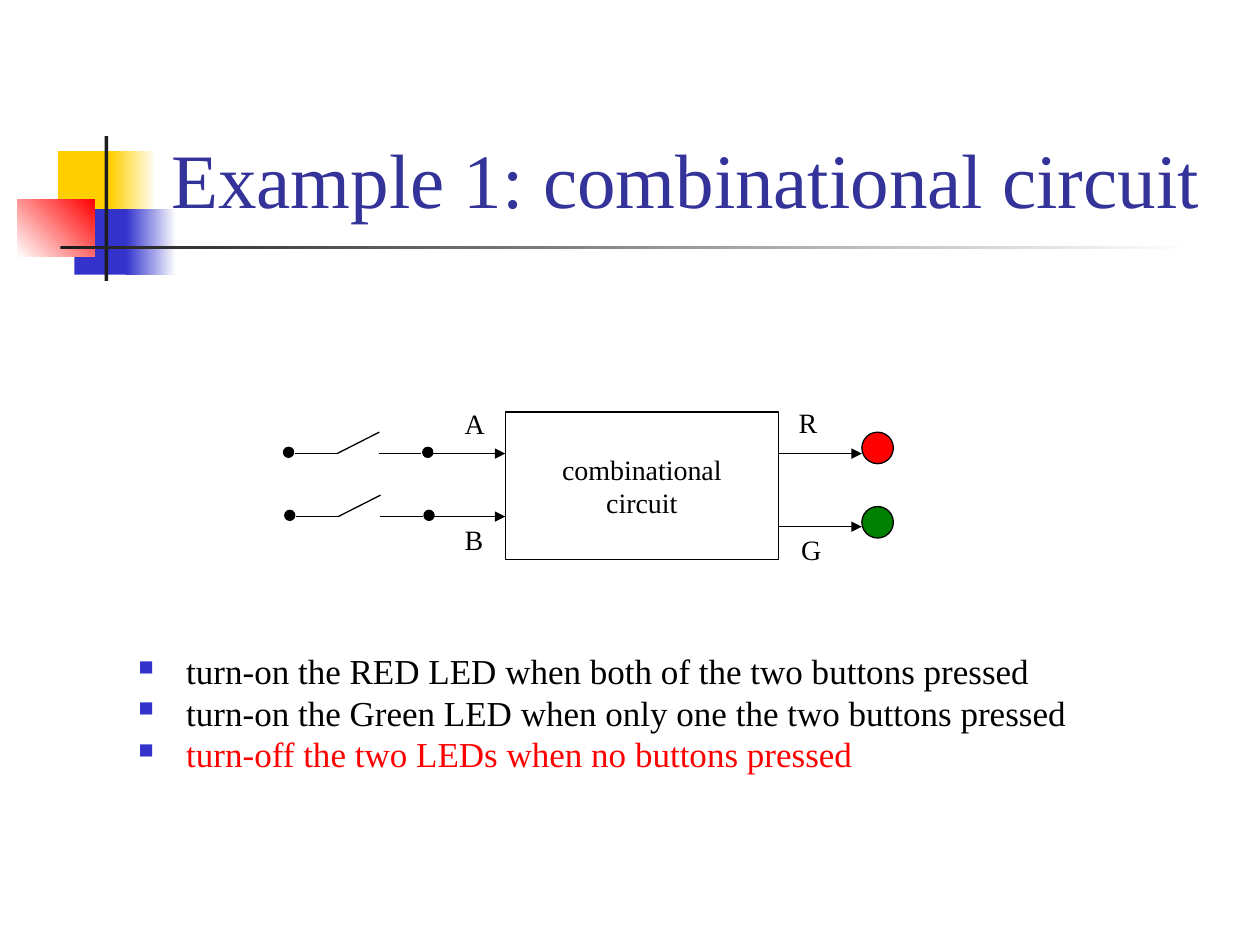
"""Build the slide about a combinational circuit with two switches and two LEDs."""
import pptx
import pptx.dml.color
import pptx.enum.shapes
import pptx.enum.text
import pptx.oxml
import pptx.oxml.ns
import pptx.util

FONT = "Times New Roman"
BLACK, RED = "000000", "FF0000"
WIDTH, HEIGHT = 10, 7.5
SHAPES = pptx.enum.shapes.MSO_SHAPE
ANCHOR = pptx.enum.text.MSO_ANCHOR
ALIGN = pptx.enum.text.PP_ALIGN
inches = pptx.util.Inches

TITLE = "Example 1: combinational circuit"
BULLETS = [
    ("turn-on the RED LED when both of the two buttons pressed", BLACK),
    ("turn-on the Green LED when only one the two buttons pressed", BLACK),
    ("turn-off the two LEDs when no buttons pressed", RED),
]
ORNAMENTS = [
    ((0.46, 1.2, 0.48, 0.52), ["FFCF01"], 0),
    ((0.88, 1.2, 0.36, 0.52), ["FFCF01", "FFFFFF"], 0),
    ((0.59, 1.66, 0.46, 0.52), ["3333CC"], 0),
    ((1, 1.66, 0.4, 0.52), ["3333CC", "FFFFFF"], 0),
    ((0.14, 1.58, 0.61, 0.46), ["FFFFFF", RED], 45),
    ((0.83, 1.08, 0.03, 1.15), ["1C1C1C"], 0),
    ((0.48, 1.95, 9, 0.03), ["1C1C1C", "FFFFFF"], 0),
]
BLOCK = (4.01, 3.27, 2.17, 1.17)
BLOCK_LINES = ["combinational", "circuit"]
SWITCHES = [(2.34, 3.6), (2.35, 4.1)]
SWITCH_STEP, SWITCH_RISE, DOT = 0.335, 0.17, 0.08
LEDS = [(3.6, 3.43, RED), (4.18, 4.02, "008000")]
LED_LEFT, LED_SIZE = 6.84, 0.25
LABELS = [("A", 3.59, 3.18), ("B", 3.59, 4.1), ("R", 6.24, 3.17), ("G", 6.26, 4.18)]


def colour(value):
    return pptx.dml.color.RGBColor.from_string(value)


def add_xml(parent, tag, attributes=""):
    namespace = pptx.oxml.ns.nsdecls("a")
    parent.append(pptx.oxml.parse_xml(f"<a:{tag} {namespace} {attributes}/>"))
    return parent[-1]


def place(item, left, top, width, height):
    item.left, item.top = inches(left), inches(top)
    item.width, item.height = inches(width), inches(height)


def style(paragraph, size, value):
    font = paragraph.font
    font.name, font.size = FONT, pptx.util.Pt(size)
    font.color.rgb = colour(value)


def outline(line):
    line.color.rgb = colour(BLACK)
    line.width = pptx.util.Pt(0.75)


def add_shape(kind, area, fills=(), angle=0, lined=True):
    shape = page.shapes.add_shape(kind, *map(inches, area))
    shape.shadow.inherit = False
    if len(fills) == 2:
        shape.fill.gradient()
        shape.fill.gradient_angle = angle
        for stop, value in zip(shape.fill.gradient_stops, fills):
            stop.color.rgb = colour(value)
    elif fills:
        shape.fill.solid()
        shape.fill.fore_color.rgb = colour(fills[0])
    else:
        shape.fill.background()
    if lined:
        outline(shape.line)
    else:
        shape.line.fill.background()
    return shape


def add_line(start, end, arrow=False):
    line = page.shapes.add_connector(
        pptx.enum.shapes.MSO_CONNECTOR.STRAIGHT, *map(inches, start + end))
    outline(line.line)
    if arrow:
        add_xml(line.line._get_or_add_ln(), "tailEnd", 'type="triangle"')
    add_xml(line._element.spPr, "effectLst")


def add_bullet(paragraph, text, value):
    paragraph.text = text
    paragraph.line_spacing = 0.8
    paragraph.space_before = pptx.util.Pt(4.6)
    properties = paragraph._p.get_or_add_pPr()
    properties.set("marL", str(inches(0.38)))
    properties.set("indent", str(inches(-0.38)))
    add_xml(add_xml(properties, "buClr"), "srgbClr", 'val="3333CC"')
    add_xml(properties, "buSzPct", 'val="60000"')
    add_xml(properties, "buChar", 'char="■"')
    style(paragraph, 20, value)


deck = pptx.Presentation()
deck.slide_width, deck.slide_height = inches(WIDTH), inches(HEIGHT)
page = deck.slides.add_slide(deck.slide_layouts[5])

for area, fills, angle in ORNAMENTS:
    add_shape(SHAPES.RECTANGLE, area, fills, angle, lined=False)

title = page.shapes.title
place(title, 1.26, 0.23, 8.52, 1.6)
title.text_frame.text = TITLE
title.text_frame.vertical_anchor = ANCHOR.BOTTOM
title.text_frame.auto_size = pptx.enum.text.MSO_AUTO_SIZE.NONE
title.text_frame.paragraphs[0].alignment = ALIGN.LEFT
style(title.text_frame.paragraphs[0], 44, "333399")

body = page.shapes.add_textbox(*map(inches, (1, 5.17, 8.5, 1.25))).text_frame
body.word_wrap = True
for index, (text, value) in enumerate(BULLETS):
    add_bullet(body.add_paragraph() if index else body.paragraphs[0], text, value)

block = add_shape(SHAPES.RECTANGLE, BLOCK).text_frame
block.word_wrap = False
block.vertical_anchor = ANCHOR.MIDDLE
block.text = "\n".join(BLOCK_LINES)
for paragraph in block.paragraphs:
    paragraph.alignment = ALIGN.CENTER
    style(paragraph, 16, BLACK)

block_left, block_right = BLOCK[0], BLOCK[0] + BLOCK[2]
for left, wire in SWITCHES:
    hinge, contact, end = (left + SWITCH_STEP * step for step in (1, 2, 3))
    add_line((hinge, wire), (contact, wire - SWITCH_RISE))
    add_line((left, wire), (hinge, wire))
    add_line((contact, wire), (end, wire))
    for dot_left in (left - 0.09, end + 0.01):
        add_shape(SHAPES.OVAL, (dot_left, wire - 0.05, DOT, DOT), [BLACK])
    add_line((end + DOT, wire), (block_left, wire), arrow=True)

for wire, top, value in LEDS:
    add_line((block_right, wire), (LED_LEFT, wire), arrow=True)
    add_shape(SHAPES.OVAL, (LED_LEFT, top, LED_SIZE, LED_SIZE), [value])

for text, left, top in LABELS:
    box = page.shapes.add_textbox(*map(inches, (left, top, 0.36, 0.37)))
    box.text_frame.word_wrap = False
    box.text_frame.text = text
    style(box.text_frame.paragraphs[0], 16, BLACK)

deck.save("out.pptx")
